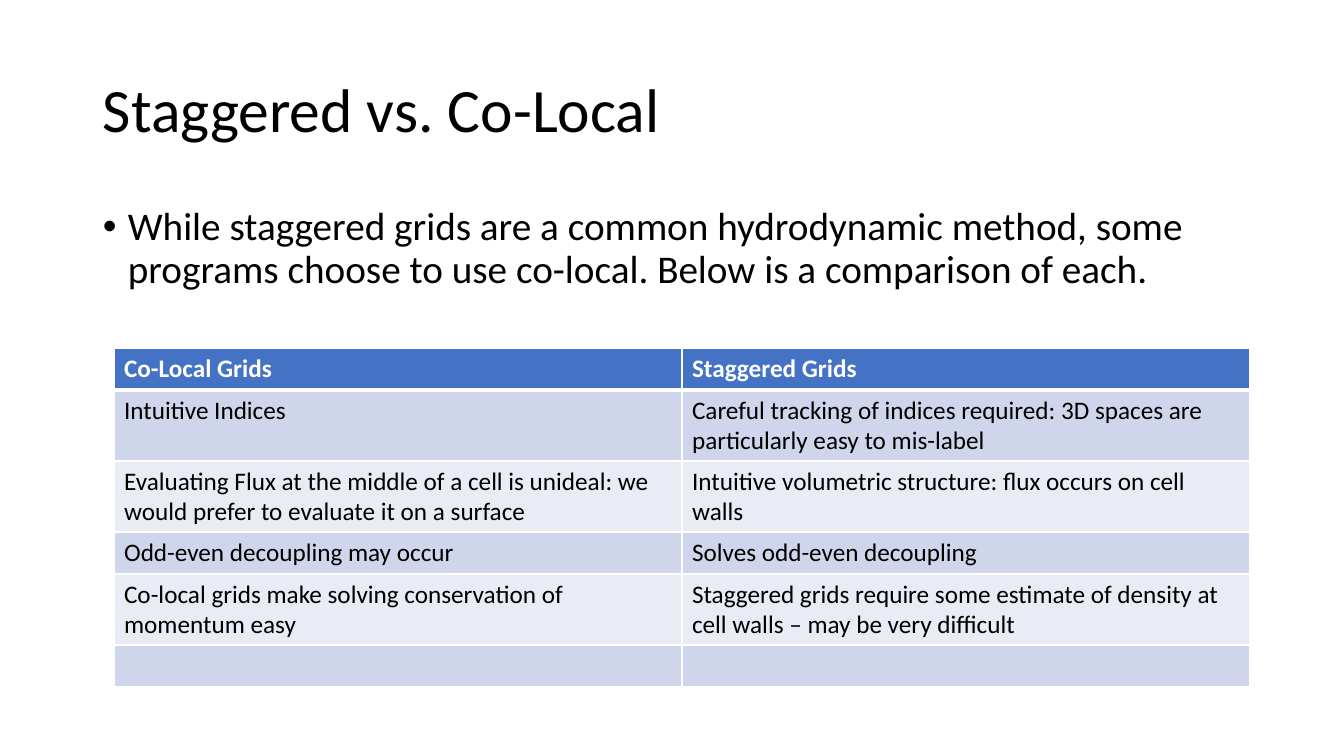
from lxml.etree import SubElement
from pptx import Presentation
from pptx.dml.color import RGBColor
from pptx.enum.text import MSO_ANCHOR as Anchor
from pptx.oxml.ns import qn
from pptx.util import Pt

TITLE = "Staggered vs. Co-Local"
INTRO = ("While staggered grids are a common hydrodynamic method, some programs "
         "choose to use co-local. Below is a comparison of each.")
# Left cell, right cell, row height in px
ROWS = [
    ("Co-Local Grids", "Staggered Grids", 42),
    ("Intuitive Indices",
     "Careful tracking of indices required: 3D spaces are particularly easy to mis-label", 71),
    ("Evaluating Flux at the middle of a cell is unideal: we would prefer to evaluate it on a surface",
     "Intuitive volumetric structure: flux occurs on cell walls", 71),
    ("Odd-even decoupling may occur", "Solves odd-even decoupling", 42),
    ("Co-local grids make solving conservation of momentum easy",
     "Staggered grids require some estimate of density at cell walls – may be very difficult", 71),
    ("", "", 42),
]

BLACK = RGBColor(0x00, 0x00, 0x00)
WHITE = RGBColor(0xFF, 0xFF, 0xFF)
BLUE = RGBColor(0x44, 0x72, 0xC4)
BANDS = [RGBColor(0xE9, 0xEB, 0xF5), RGBColor(0xCF, 0xD5, 0xEA)]
FONT = "Calibri"

SCALE = 914400 / 100.8
TITLE_BOX = (93, 40, 1159, 146)
INTRO_BOX = (93, 202, 1159, 480)
GRID_X, GRID_Y, COL_W = 114, 348, 568
INDENT = 25


def px(n):
    return round(n * SCALE)


def write(para, text, size, color=BLACK, bold=False):
    run = para.add_run()
    run.text = text
    run.font.color.rgb = color
    look = {"name": FONT, "size": Pt(size), "bold": bold}
    for key, val in look.items():
        setattr(run.font, key, val)


def add_text(slide, box, text, size, anchor):
    frame = slide.shapes.add_textbox(*map(px, box)).text_frame
    frame.word_wrap = True
    frame.vertical_anchor = anchor
    para = frame.paragraphs[0]
    para.line_spacing = 0.9
    write(para, text, size)
    return para


def add_bullet(para):
    props = para._p.get_or_add_pPr()
    props.set("marL", str(px(INDENT)))
    props.set("indent", str(-px(INDENT)))
    SubElement(props, qn("a:buFont"), typeface="Arial")
    SubElement(props, qn("a:buChar"), char="•")


def add_edges(cell, head):
    """Draw white cell borders, thicker where the header meets the body."""
    props = cell._tc.get_or_add_tcPr()
    wide = {"B"} if head == 0 else {"T"} if head == 1 else set()
    for spot, side in enumerate("LRTB"):
        line = props.makeelement(qn(f"a:ln{side}"), {"w": str(Pt(3 if side in wide else 1))})
        fill = SubElement(line, qn("a:solidFill"))
        SubElement(fill, qn("a:srgbClr"), val=str(WHITE))
        props.insert(spot, line)


def add_grid(slide):
    high = sum(row[-1] for row in ROWS)
    grid = slide.shapes.add_table(len(ROWS), 2, px(GRID_X), px(GRID_Y),
                                  px(2 * COL_W), px(high)).table
    for col in grid.columns:
        col.width = px(COL_W)
    for r, (*texts, tall) in enumerate(ROWS):
        grid.rows[r].height = px(tall)
        head = r == 0
        for c, text in enumerate(texts):
            cell = grid.cell(r, c)
            cell.fill.solid()
            cell.fill.fore_color.rgb = BLUE if head else BANDS[r % 2]
            add_edges(cell, r)
            if text:
                write(cell.text_frame.paragraphs[0], text, 18,
                      WHITE if head else BLACK, head)


def main():
    deck = Presentation()
    deck.slide_width, deck.slide_height = px(1344), px(756)
    slide = deck.slides.add_slide(deck.slide_layouts[6])
    add_text(slide, TITLE_BOX, TITLE, 44, Anchor.MIDDLE)
    intro = add_text(slide, INTRO_BOX, INTRO, 28, Anchor.TOP)
    intro.space_before = Pt(10)
    add_bullet(intro)
    add_grid(slide)
    deck.save("out.pptx")


if __name__ == "__main__":
    main()
